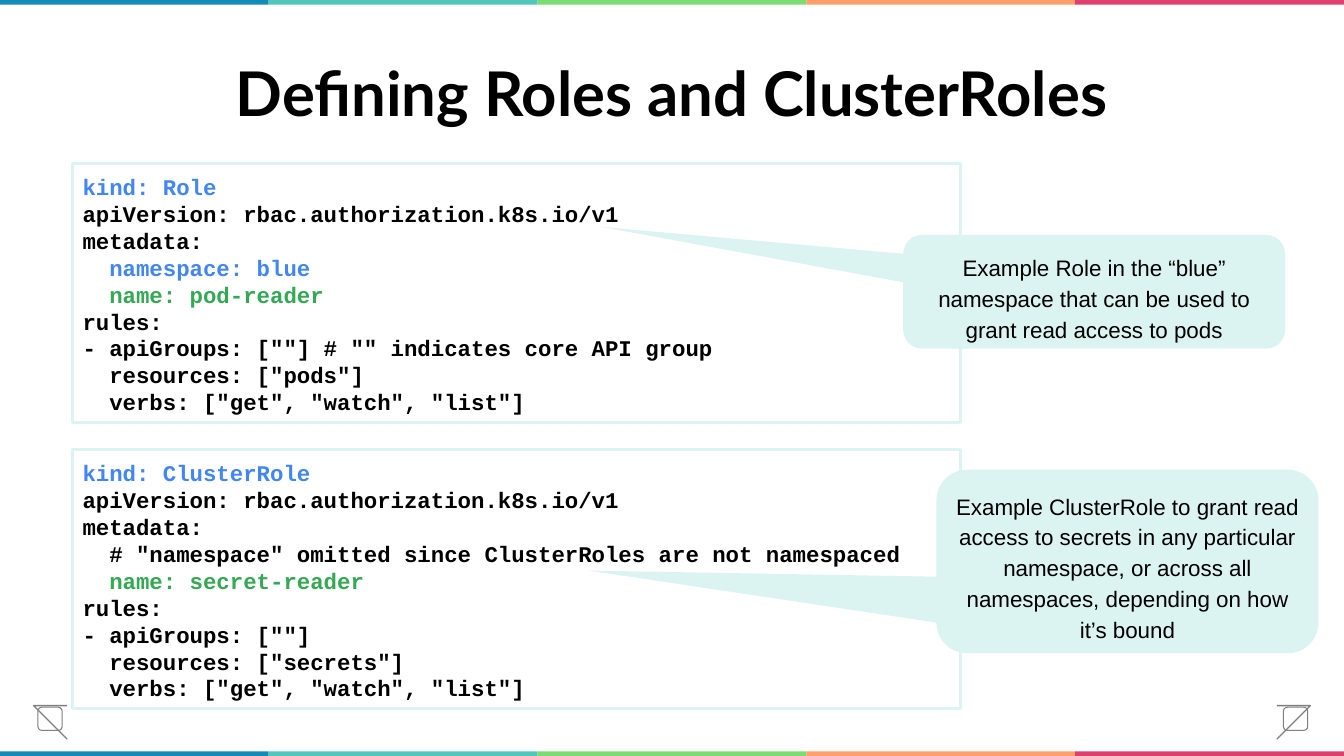
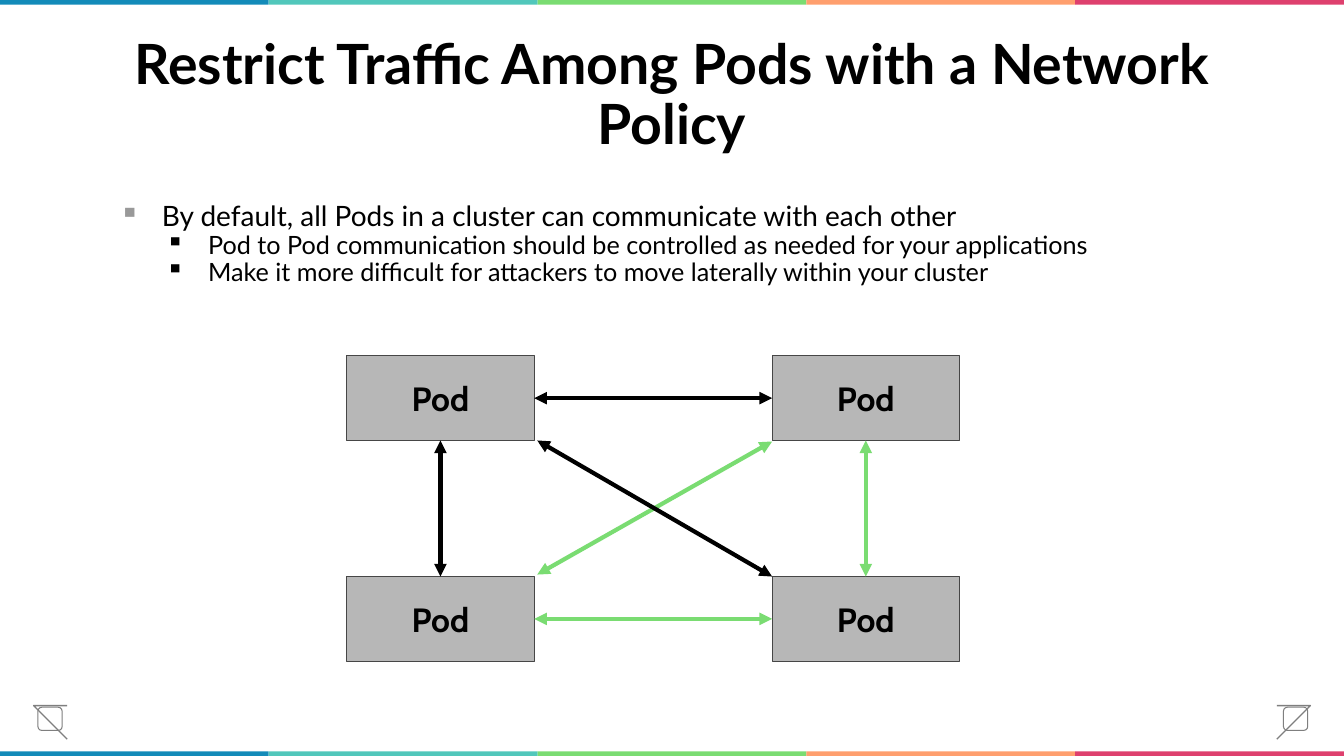
import pptx
import pptx.dml.color
import pptx.enum.shapes
import pptx.enum.text
import pptx.oxml.ns
import pptx.util
import lxml.etree

SHAPE = pptx.enum.shapes.MSO_SHAPE
ANCHOR = pptx.enum.text.MSO_ANCHOR
ALIGN = pptx.enum.text.PP_ALIGN
color = pptx.dml.color.RGBColor.from_string
qualify = pptx.oxml.ns.qn

# The grid has 40 columns and 22.5 rows of square cells.
COLUMNS, ROWS = 40, 22.5
CELL = pptx.util.Emu(304800)

BLACK, GRAY = "000000", "7F7F7F"
BLUE, GREEN, MINT, LIME = "4285F4", "34A853", "DCF4F1", "7ADC72"
BAND_COLORS = ["138BB9", "51C7BB", LIME, "FF9F6E", "DE406E"]
BAND_HEIGHT = 0.14
TITLES = [
    ("Defining Roles and ClusterRoles", 44),
    ("Restrict Traffic Among Pods with a Network Policy", 39.6),
]


def add_box(page, kind, place, fill=None, line=None, width=0.75, inset=(0.1, 0.1), anchor=ANCHOR.TOP):
    """Add a shape, or a text box if kind is None; place is left, top, width, height in cells."""
    lengths = [round(CELL * cells) for cells in place]
    if kind is None:
        box = page.shapes.add_textbox(*lengths)
    else:
        box = page.shapes.add_shape(kind, *lengths)
        box.shadow.inherit = False
        for paint, shade in ((box.fill, fill), (box.line.fill, line)):
            if shade:
                paint.solid()
                paint.fore_color.rgb = color(shade)
            else:
                paint.background()
        if line:
            box.line.width = pptx.util.Pt(width)
    frame = box.text_frame
    frame.word_wrap = True
    frame.vertical_anchor = anchor
    frame.margin_left = frame.margin_right = pptx.util.Inches(inset[0])
    frame.margin_top = frame.margin_bottom = pptx.util.Inches(inset[1])
    return box


def write(para, text, font, size, shade=BLACK, bold=False, align=ALIGN.LEFT, spacing=1.0):
    para.add_run().text = text
    para.alignment = align
    para.line_spacing = spacing
    para.font.name = font
    para.font.size = pptx.util.Pt(size)
    para.font.bold = bold
    para.font.color.rgb = color(shade)


deck = pptx.Presentation()
deck.slide_width = CELL * COLUMNS
deck.slide_height = round(CELL * ROWS)
pages = []

# Bands, navigation buttons and title of every slide
for title, size in TITLES:
    page = deck.slides.add_slide(deck.slide_layouts[6])
    pages.append(page)
    band_width = COLUMNS / len(BAND_COLORS)
    for top in (0, ROWS - BAND_HEIGHT):
        for index, shade in enumerate(BAND_COLORS):
            add_box(page, SHAPE.RECTANGLE, (index * band_width, top, band_width, BAND_HEIGHT), shade)
    for left, tip, back in ((1.13, 1.4, 1.55), (38.2, 38.63, 38.47)):
        add_box(page, SHAPE.ROUNDED_RECTANGLE, (left, 21.05, 0.72, 0.69), line=GRAY)
        builder = page.shapes.build_freeform(back, 21.26, scale=CELL)
        builder.add_line_segments([(tip, 21.39), (back, 21.52)], close=False)
        chevron = builder.convert_to_shape()
        chevron.shadow.inherit = False
        chevron.fill.background()
        chevron.line.color.rgb = color(GRAY)
        chevron.line.width = pptx.util.Pt(1)
    box = add_box(page, None, (2.75, 1.38, 34.5, 3), inset=(0.1, 0.05), anchor=ANCHOR.MIDDLE)
    write(box.text_frame.paragraphs[0], title, "Lato", size, bold=True, align=ALIGN.CENTER, spacing=0.9)

roles_page, network_page = pages

# Role definitions
LISTINGS = [
    [
        ("kind: Role", BLUE),
        ("apiVersion: rbac.authorization.k8s.io/v1", BLACK),
        ("metadata:", BLACK),
        ("  namespace: blue", BLUE),
        ("  name: pod-reader", GREEN),
        ("rules:", BLACK),
        ('- apiGroups: [""] # "" indicates core API group', BLACK),
        ('  resources: ["pods"]', BLACK),
        ('  verbs: ["get", "watch", "list"]', BLACK),
    ],
    [
        ("kind: ClusterRole", BLUE),
        ("apiVersion: rbac.authorization.k8s.io/v1", BLACK),
        ("metadata:", BLACK),
        ('  # "namespace" omitted since ClusterRoles are not namespaced', BLACK),
        ("  name: secret-reader", GREEN),
        ("rules:", BLACK),
        ('- apiGroups: [""]', BLACK),
        ('  resources: ["secrets"]', BLACK),
        ('  verbs: ["get", "watch", "list"]', BLACK),
    ],
]
for index, listing in enumerate(LISTINGS):
    place = (2.16, 4.86 + index * 8.52, 26.43, 7.71)
    frame = add_box(roles_page, SHAPE.RECTANGLE, place, line=MINT, width=2.25).text_frame
    for number, (text, shade) in enumerate(listing):
        para = frame.add_paragraph() if number else frame.paragraphs[0]
        write(para, text, "Courier New", 16, shade, bold=True)

CALLOUTS = [
    ((26.88, 6.99, 11.37, 3.39), (-1.29, -0.57),
     "Example Role in the “blue” namespace that can be used to grant read access to pods"),
    ((27.87, 13.98, 11.37, 5.46), (-1.41, 0.05),
     "Example ClusterRole to grant read access to secrets in any particular namespace, "
     "or across all namespaces, depending on how it’s bound"),
]
for place, pointer, text in CALLOUTS:
    callout = add_box(roles_page, SHAPE.ROUNDED_RECTANGULAR_CALLOUT, place, MINT)
    callout.adjustments[0], callout.adjustments[1] = pointer
    write(callout.text_frame.paragraphs[0], text, "Arial", 16, align=ALIGN.CENTER, spacing=1.15)

# Network policy bullets
BULLETS = [
    (0, "By default, all Pods in a cluster can communicate with each other", 20, "999999"),
    (1, "Pod to Pod communication should be controlled as needed for your applications", 18, BLACK),
    (1, "Make it more difficult for attackers to move laterally within your cluster", 18, BLACK),
]
frame = add_box(network_page, None, (2.75, 5.88, 34.5, 13.41), inset=(0.1, 0.05)).text_frame
for number, (level, text, size, bullet_shade) in enumerate(BULLETS):
    para = frame.add_paragraph() if number else frame.paragraphs[0]
    para.level = level
    properties = para._p.get_or_add_pPr()
    properties.set("marL", str(pptx.util.Inches(0.59 + 0.46 * level)))
    properties.set("indent", str(pptx.util.Inches(-0.42)))
    bullet_color = lxml.etree.SubElement(properties, qualify("a:buClr"))
    lxml.etree.SubElement(bullet_color, qualify("a:srgbClr"), val=bullet_shade)
    lxml.etree.SubElement(properties, qualify("a:buChar"), char="▪")
    write(para, text, "Lato", size, spacing=0.9)
    para.space_before = pptx.util.Pt(0 if level else 10)

# Pods and the traffic between them
POD_WIDTH, POD_HEIGHT = 5.58, 2.52
LEFT, RIGHT = 10.32, 22.98
UPPER, LOWER = 10.59, 17.16
for left in (LEFT, RIGHT):
    for top in (UPPER, LOWER):
        pod = add_box(network_page, SHAPE.RECTANGLE, (left, top, POD_WIDTH, POD_HEIGHT), "B7B7B7", "464646",
                      inset=(0.07, 0.07), anchor=ANCHOR.MIDDLE)
        write(pod.text_frame.paragraphs[0], "Pod", "Cabin", 24, bold=True, align=ALIGN.CENTER)

middle, half = POD_WIDTH / 2, POD_HEIGHT / 2
left_edge = LEFT + POD_WIDTH
upper_edge = UPPER + POD_HEIGHT
corner = left_edge + 0.09
ARROWS = [
    (RIGHT + middle, upper_edge, RIGHT + middle, LOWER, LIME),
    (LEFT + middle, upper_edge, LEFT + middle, LOWER, BLACK),
    (left_edge, UPPER + half, RIGHT, UPPER + half, BLACK),
    (left_edge, LOWER + half, RIGHT, LOWER + half, LIME),
    (corner, LOWER - 0.06, RIGHT, upper_edge + 0.03, LIME),
    (corner, upper_edge, RIGHT, LOWER, BLACK),
]
for *ends, shade in ARROWS:
    arrow = network_page.shapes.add_connector(
        pptx.enum.shapes.MSO_CONNECTOR.STRAIGHT, *(round(CELL * cells) for cells in ends))
    arrow.line.color.rgb = color(shade)
    arrow.line.width = pptx.util.Pt(3)
    properties = arrow._element.spPr
    outline = properties.find(qualify("a:ln"))
    for end in ("a:headEnd", "a:tailEnd"):
        lxml.etree.SubElement(outline, qualify(end), type="triangle")
    lxml.etree.SubElement(properties, qualify("a:effectLst"))

deck.save("out.pptx")
